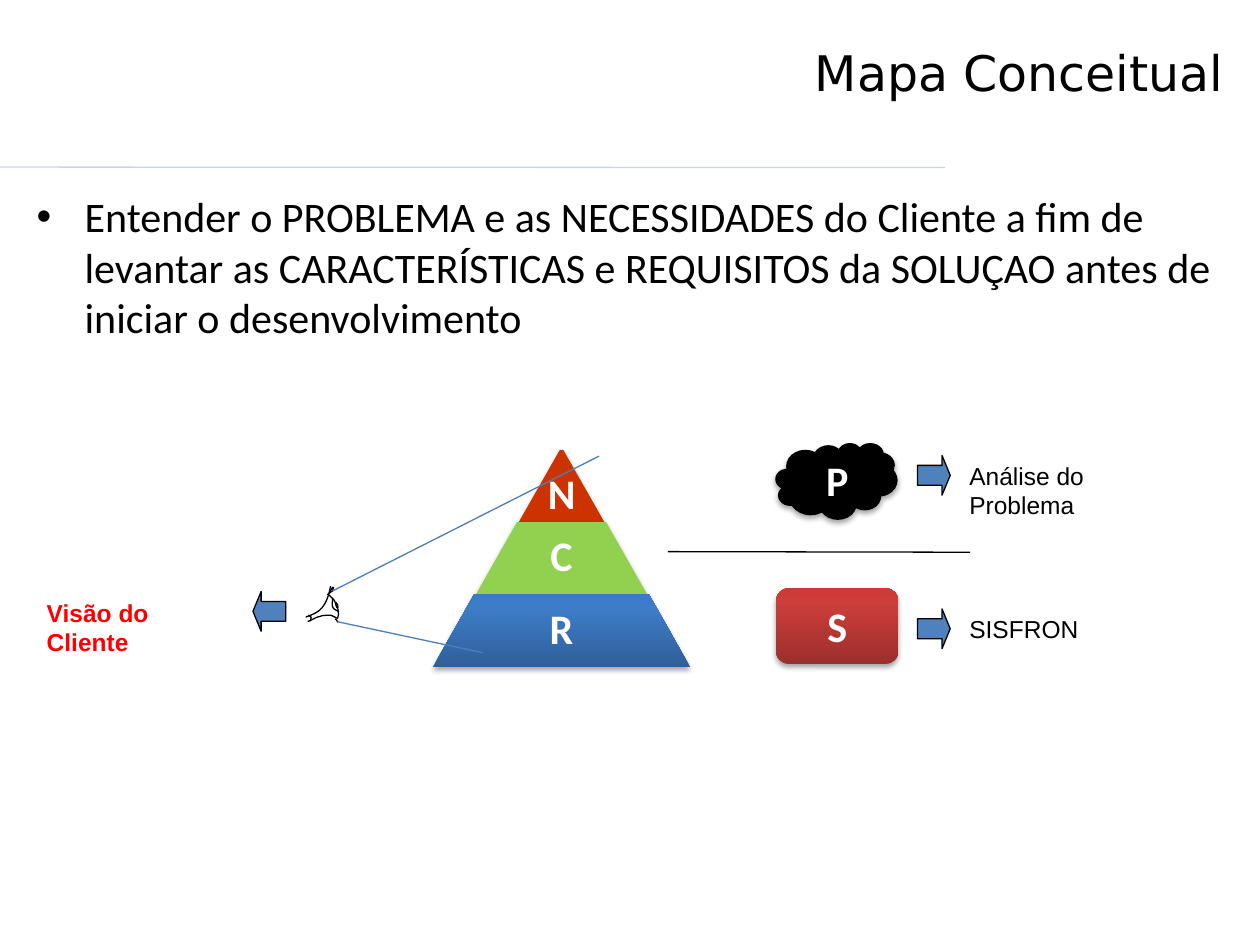
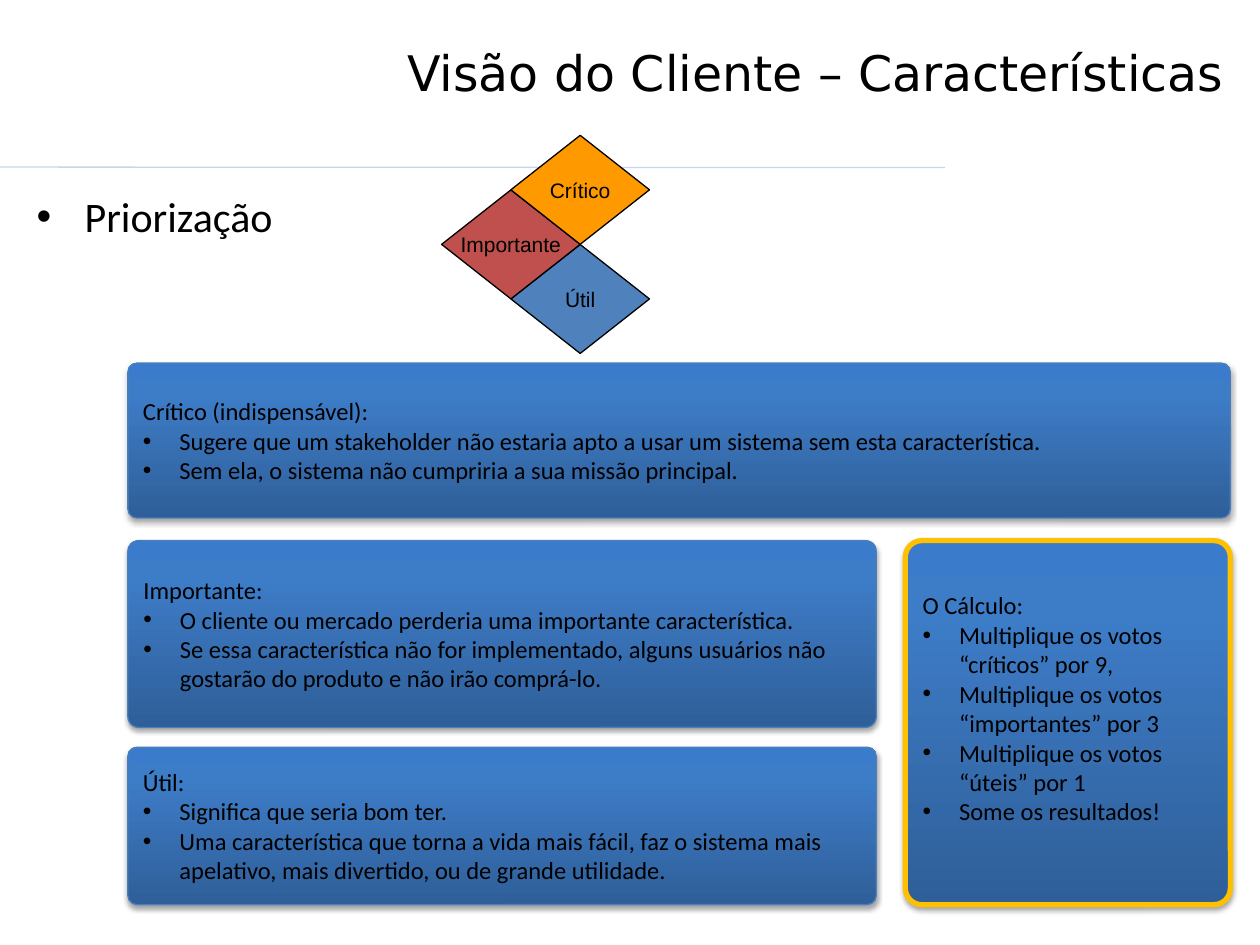
from copy import deepcopy
from dataclasses import dataclass

from lxml.etree import SubElement as Sub
from pptx import Presentation
from pptx.dml.color import RGBColor as Rgb
from pptx.enum.shapes import MSO_CONNECTOR as Link, MSO_SHAPE as Form
from pptx.enum.text import MSO_ANCHOR as Anchor, PP_ALIGN as Align
from pptx.oxml.ns import qn
from pptx.util import Inches, Pt

COLS, ROWS = 100, 75
WIDE, HIGH = Inches(10), Inches(7.5)


@dataclass(frozen=True)
class Theme:
    black: str = "000000"
    white: str = "FFFFFF"
    red: str = "FF0000"
    rule: str = "C4D6EB"
    edge: str = "4B7EBC"
    blue: str = "4F81BD"
    brick: str = "C0504D"
    rust: str = "CC3300"
    green: str = "92D050"
    orange: str = "FF9900"
    gold: str = "FFC000"
    navy: tuple = ("2F5F99", "3D7CC7", "3A7CCB")
    wine: tuple = ("9C2F2D", "CB3E3A", "CE3B37")
    head: str = "DejaVu Sans"
    text: str = "Calibri"
    note: str = "Arial"
    big: int = 28
    mid: int = 24
    small: int = 14
    tiny: int = 12
    thin: float = 0.75
    thick: float = 3


T = Theme()

# Each stroke: turn in degrees, start point, then cubic curves, in grid cells.
EYE = [
    (1.4, (26.2, 46.5), [(26.1, 47.2, 25.9, 47.8, 25.6, 48.2),
                         (25.3, 48.6, 24.8, 48.8, 24.3, 49)]),
    (-6, (26.8, 49.2), [(26.7, 49.2, 26.5, 49, 26.3, 48.9),
                        (26, 48.9, 25.7, 48.8, 25.4, 48.9),
                        (25.1, 48.9, 24.6, 49.2, 24.4, 49.2)]),
    (-6, (26.1, 47.1), [(26.2, 47.2, 26.5, 47.5, 26.6, 47.7),
                        (26.7, 47.9, 26.7, 48.2, 26.8, 48.4),
                        (26.8, 48.5, 26.8, 48.7, 26.8, 48.8),
                        (26.7, 49, 26.7, 49, 26.7, 49.1)]),
    (-11, (26.5, 47.5), [(26.5, 47.6, 26.3, 48, 26.4, 48.2),
                         (26.4, 48.3, 26.7, 48.5, 26.8, 48.6)]),
    (-11, (26.7, 47.8), [(26.6, 48, 26.7, 48, 26.7, 48.2),
                         (26.8, 48.3, 26.8, 48.2, 26.8, 48),
                         (26.8, 47.9, 26.7, 47.9, 26.7, 47.8)]),
    (-6, (24.6, 49.3), [(24.6, 49.3, 24.7, 49.1, 24.7, 49),
                        (24.7, 48.9, 24.5, 48.9, 24.5, 48.8)]),
    (-6, (26.1, 47.1), [(26.1, 47, 26.2, 46.9, 26.3, 46.8),
                        (26.4, 46.8, 26.4, 46.6, 26.4, 46.6)]),
    (-6, (26.1, 47.1), [(26.1, 47, 26.3, 47, 26.4, 46.9),
                        (26.5, 46.8, 26.5, 46.7, 26.5, 46.6)]),
    (-6, (26.6, 49.1), [(26.6, 49.1, 26.7, 49.2, 26.7, 49.2),
                        (26.8, 49.3, 26.8, 49.3, 26.8, 49.4)]),
]


def grid(*cells):
    """Turn alternating column and row counts into lengths."""
    return [round(cell * (HIGH / ROWS if i % 2 else WIDE / COLS))
            for i, cell in enumerate(cells)]


def blend(shape, tones):
    """Fill with three tones from the bottom up."""
    shape.fill.gradient()
    shape.fill.gradient_angle = 90
    stops = shape.element.spPr.find(".//" + qn("a:gsLst"))
    stops.append(deepcopy(stops[-1]))
    for stop, tone, place in zip(shape.fill.gradient_stops, tones, (0, 0.8, 1)):
        stop.color.rgb = Rgb.from_string(tone)
        stop.position = place


def paint(shape, fill, line=None, width=T.thin):
    """Fill with one colour, a set of tones or nothing, and set the outline."""
    shape.shadow.inherit = False
    if fill is None:
        shape.fill.background()
    elif isinstance(fill, tuple):
        blend(shape, fill)
    else:
        shape.fill.solid()
        shape.fill.fore_color.rgb = Rgb.from_string(fill)
    if line:
        shape.line.color.rgb = Rgb.from_string(line)
        shape.line.width = Pt(width)
    else:
        shape.line.fill.background()


def shade(shape):
    """Drop a soft shadow straight down."""
    glow = Sub(shape.element.spPr.find(qn("a:effectLst")), qn("a:outerShdw"),
               blurRad=str(Pt(3.1)), dist=str(Pt(1.8)), dir="5400000",
               rotWithShape="0")
    tone = Sub(glow, qn("a:srgbClr"), val=T.black)
    Sub(tone, qn("a:alpha"), val="35000")


def block(slide, form, box, fill, line=None, width=T.thin, adj=(), soft=True):
    shape = slide.shapes.add_shape(form, *grid(*box))
    for i, value in enumerate(adj):
        shape.adjustments[i] = value
    paint(shape, fill, line, width)
    if soft:
        shade(shape)
    return shape


def rule(slide, ends, color):
    line = slide.shapes.add_connector(Link.STRAIGHT, *grid(*ends))
    line.line.color.rgb = Rgb.from_string(color)
    line.line.width = Pt(T.thin)
    Sub(line.element.spPr, qn("a:effectLst"))


def indent(para, depth, mark):
    props = para._p.get_or_add_pPr()
    props.set("marL", str(Inches(depth)))
    props.set("indent", str(-Inches(depth)))
    if mark:
        Sub(props, qn("a:buFont"), typeface=T.note)
        Sub(props, qn("a:buChar"), char="•")


def write(para, words, font, size, color=T.black, bold=False, align=Align.LEFT):
    para.alignment = align
    run = para.add_run()
    run.text = words
    run.font.name, run.font.size, run.font.bold = font, Pt(size), bold
    run.font.color.rgb = Rgb.from_string(color)


def panel(slide, box, anchor=Anchor.TOP, inset=None):
    """Add a wrapped text box and return its frame."""
    frame = slide.shapes.add_textbox(*grid(*box)).text_frame
    frame.word_wrap = True
    frame.vertical_anchor = anchor
    if inset is not None:
        frame.margin_left = frame.margin_right = Inches(inset)
        frame.margin_top = frame.margin_bottom = Inches(inset)
    return frame


def sign(frame, words):
    """Write one large white centred letter."""
    write(frame.paragraphs[0], words, T.text, T.mid, T.white, True, Align.CENTER)


def start(deck, title, point):
    """Add a slide with the shared rule, title and lead point."""
    slide = deck.slides.add_slide(deck.slide_layouts[6])
    rule(slide, (0, 13.26, 75, 13.3), T.rule)
    head = panel(slide, (1.85, 2.85, 96.2, 10.1)).paragraphs[0]
    write(head, title, T.head, T.big, align=Align.RIGHT)
    lead = panel(slide, (1.93, 14.65, 96.1, 52)).paragraphs[0]
    indent(lead, 0.38, True)
    write(lead, point, T.text, T.mid)
    return slide


def cone(slide):
    """Stack three trapezoids, each wider than the one above by one step."""
    mid, top, step, tall = 44.57, 35.7, 6.8, 5.74
    rows = [("N", T.rust, Anchor.BOTTOM), ("C", T.green, Anchor.MIDDLE),
            ("R", T.navy, Anchor.MIDDLE)]
    for i, (name, fill, anchor) in enumerate(rows):
        wide = step * (i + 1)
        box = (mid - wide / 2, top + i * tall, wide, tall)
        block(slide, Form.TRAPEZOID, box, fill, adj=(0.569,))
        frame = panel(slide, box, anchor, 0.03)
        frame.paragraphs[0].line_spacing = 0.9
        sign(frame, name)


def curl(slide, first, curves):
    """Draw a stroke of cubic curves through their end points."""
    pen = slide.shapes.build_freeform(*grid(*first))
    pen.add_line_segments([grid(*curve[4:]) for curve in curves],
                          close=curves[-1][4:] == first)
    stroke = pen.convert_to_shape()
    legs = list(stroke.element.spPr.iter(qn("a:lnTo")))
    for leg, curve in zip(legs, curves):
        leg.tag = qn("a:cubicBezTo")
        leg.clear()
        spots = grid(*curve)
        for x, y in zip(spots[::2], spots[1::2]):
            Sub(leg, qn("a:pt"), x=str(x - stroke.left), y=str(y - stroke.top))
    return stroke


def eye(slide):
    for turn, first, curves in EYE:
        stroke = curl(slide, first, curves)
        paint(stroke, T.black if curves[-1][4:] == first else None, T.black)
        stroke.rotation = turn


def note(slide, box, words, arrow, form=Form.RIGHT_ARROW, color=T.black, bold=False):
    """Add a caption with a small arrow at the given column and row."""
    write(panel(slide, box).paragraphs[0], words, T.note, T.small, color, bold)
    block(slide, form, (*arrow, 2.6, 3.15), T.blue, T.black,
          adj=(0.5, 0.25), soft=False)


def card(slide, box, title, points, line=T.edge, width=T.thin, adj=0.058, foot=0.05):
    shape = block(slide, Form.ROUNDED_RECTANGLE, box, T.navy, line, width, (adj,))
    frame = shape.text_frame
    frame.word_wrap = True
    frame.vertical_anchor = Anchor.MIDDLE
    frame.margin_bottom = Inches(foot)
    for i, words in enumerate([title, *points]):
        para = frame.add_paragraph() if i else frame.paragraphs[0]
        indent(para, 0.29, i > 0)
        write(para, words, T.text, T.small)


def gem(slide, left, top, name, fill):
    shape = block(slide, Form.DIAMOND, (left, top, 11, 8.65), fill, T.black, soft=False)
    frame = shape.text_frame
    frame.word_wrap = False
    frame.vertical_anchor = Anchor.MIDDLE
    write(frame.paragraphs[0], name, T.note, T.tiny, align=Align.CENTER)


def concept(deck):
    slide = start(deck, "Mapa Conceitual",
                  "Entender o PROBLEMA e as NECESSIDADES do Cliente a fim de "
                  "levantar as CARACTERÍSTICAS e REQUISITOS da SOLUÇAO antes de "
                  "iniciar o desenvolvimento")
    cone(slide)
    cloud = block(slide, Form.CLOUD, (61.54, 35.14, 9.7, 6.1), T.black)
    cloud.text_frame.margin_left = Inches(0.18)
    sign(cloud.text_frame, "P")
    rule(slide, (53, 43.78, 77, 43.83), T.black)
    goal = block(slide, Form.ROUNDED_RECTANGLE, (61.6, 46.7, 9.7, 6), T.wine)
    sign(goal.text_frame, "S")
    eye(slide)
    rule(slide, (26.4, 46.9, 47.55, 36.2), T.edge)
    rule(slide, (26.8, 49.35, 38.3, 51.8), T.edge)
    note(slide, (75.95, 48.25, 10.7, 3.3), "SISFRON", (72.82, 48.33))
    note(slide, (75.95, 36.1, 13, 5.6), "Análise do Problema", (72.82, 36.15))
    note(slide, (2.73, 46.95, 13, 5.6), "Visão do Cliente", (20.08, 46.95),
         Form.LEFT_ARROW, T.red, True)


def client(deck):
    slide = start(deck, "Visão do Cliente – Características", "Priorização")
    left, right, row, half = 10.15, 97.65, 42.9, 59.4
    card(slide, (left, 28.82, right - left, 12.3), "Crítico (indispensável):", [
        "Sugere que um stakeholder não estaria apto a usar um sistema sem esta "
        "característica.",
        "Sem ela, o sistema não cumpriria a sua missão principal."])
    card(slide, (left, row, half, 14.83), "Importante:", [
        "O cliente ou mercado perderia uma importante característica.",
        "Se essa característica não for implementado, alguns usuários não "
        "gostarão do produto e não irão comprá-lo."])
    card(slide, (left, 59.3, half, 12.5), "Útil:", [
        "Significa que seria bom ter.",
        "Uma característica que torna a vida mais fácil, faz o sistema mais "
        "apelativo, mais divertido, ou de grande utilidade."])
    votes = [("críticos", "9,"), ("importantes", "3"), ("úteis", "1")]
    card(slide, (71.85, row, right - 71.85, 28.9), "O Cálculo:",
         [f"Multiplique os votos “{kind}” por {times}" for kind, times in votes]
         + ["Some os resultados!"], T.gold, T.thick, 0.051, 0.28)
    gems = [("Útil", T.blue), ("Importante", T.brick), ("Crítico", T.orange)]
    for i, (name, fill) in enumerate(gems):
        gem(slide, 35.05 if i == 1 else 40.55, 19.4 - i * 4.33, name, fill)


def main():
    deck = Presentation()
    deck.slide_width, deck.slide_height = WIDE, HIGH
    concept(deck)
    client(deck)
    deck.save("out.pptx")


if __name__ == "__main__":
    main()
